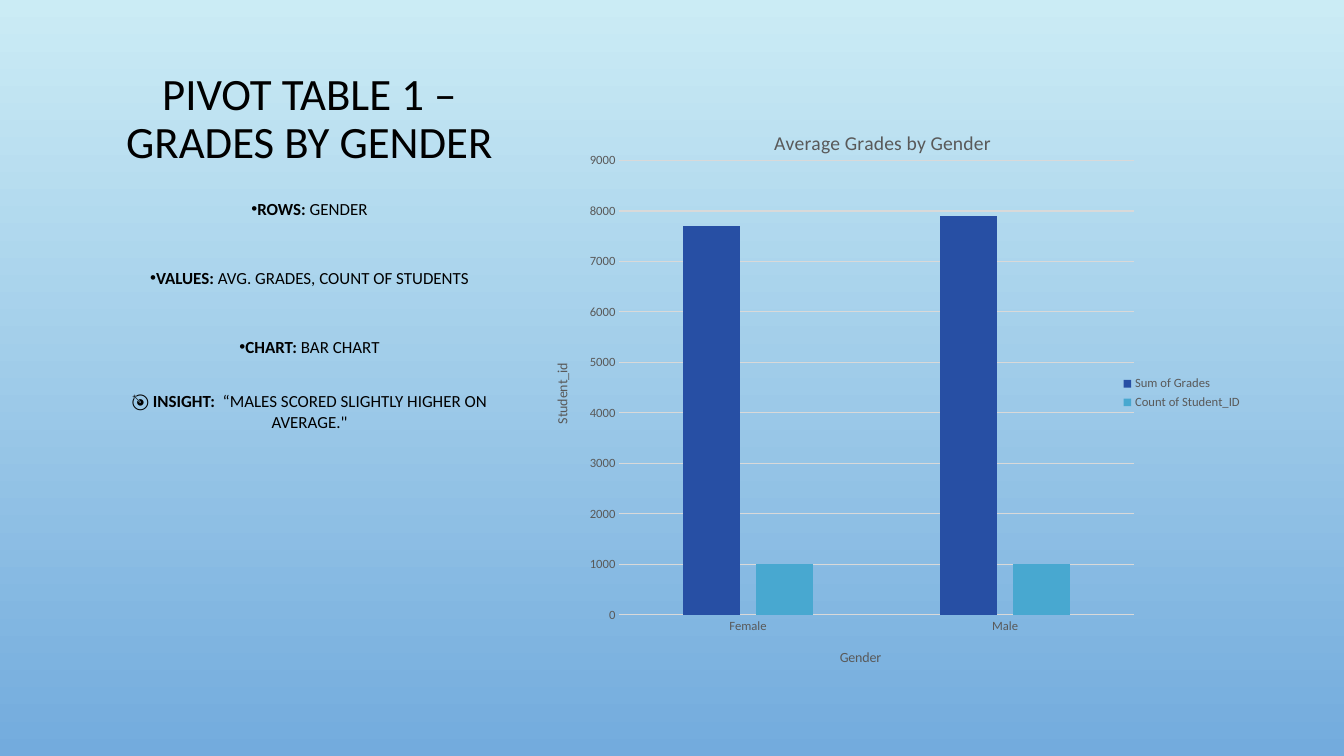
from lxml import etree
from pptx import Presentation
from pptx import util as u
from pptx.chart.data import CategoryChartData
from pptx.dml.color import RGBColor
from pptx.enum import chart as ch, text
from pptx.oxml import parse_xml
from pptx.oxml.ns import nsdecls, qn

# Content
TITLE = "PIVOT TABLE 1 – GRADES BY GENDER"
# bulleted, space before in points, runs of (words, bold)
NOTES = [
    (True, 0, [("ROWS:", True), (" GENDER", False)]),
    (True, 34.7, [("VALUES:", True), (" AVG. GRADES, COUNT OF STUDENTS", False)]),
    (True, 34.7, [("CHART:", True), (" BAR CHART", False)]),
    (False, 24.6, [("🎯 ", False), ("INSIGHT:", True),
                   ("  “MALES SCORED SLIGHTLY HIGHER ON AVERAGE.\"", False)]),
]
CHART_TITLE, X_TITLE, Y_TITLE = "Average Grades by Gender", "Gender", "Student_id"
GENDERS = ["Female", "Male"]
BLACK, GREY, RULE = RGBColor(0, 0, 0), RGBColor(0x59, 0x59, 0x59), RGBColor(0xD9, 0xD9, 0xD9)
SKY_TOP, SKY_BOTTOM = RGBColor(0xCB, 0xEC, 0xF5), RGBColor(0x73, 0xAB, 0xDD)
SERIES = [
    ("Sum of Grades", (7700, 7900), RGBColor(0x27, 0x4F, 0xA4)),
    ("Count of Student_ID", (1000, 1000), RGBColor(0x48, 0xA8, 0xD0)),
]
FONT = "Calibri"

# Layout in inches: one text column, one chart
COL_X, COL_W = 0.92, 4.3
TITLE_Y, TITLE_H = 0.5, 1.22
NOTES_Y, NOTES_H = 1.92, 2.47
CHART_BOX = (5.07, 1.08, 7.35, 5.64)


def style(font, size, color, bold=False):
    font.name, font.size, font.bold = FONT, u.Pt(size), bold
    font.color.rgb = color


def text_column(s, y, h, anchor):
    tf = s.shapes.add_textbox(*map(u.Inches, (COL_X, y, COL_W, h))).text_frame
    tf.word_wrap, tf.vertical_anchor = True, anchor
    return tf


def layout_xml(x, y, w=None, h=None):
    """Manual chart layout, as shares of the chart's size."""
    parts = [] if w is None else [("layoutTarget", "inner")]
    parts += [("xMode", "edge"), ("yMode", "edge"), ("x", x), ("y", y)]
    parts += [] if w is None else [("w", w), ("h", h)]
    inner = "".join(f'<c:{tag} val="{val}"/>' for tag, val in parts)
    return parse_xml(f'<c:layout {nsdecls("c")}><c:manualLayout>{inner}'
                     '</c:manualLayout></c:layout>')


def chart_label(owner, words, size, x, y):
    """Write a chart or axis title and place its top left corner."""
    title = owner.chart_title if hasattr(owner, "chart_title") else owner.axis_title
    r = title.text_frame.paragraphs[0].add_run()
    r.text = words
    style(r.font, size, GREY)
    el = title._element
    for old in el.findall(qn("c:layout")):
        el.remove(old)
    el.find(qn("c:tx")).addnext(layout_xml(x, y))


def main():
    prs = Presentation()
    prs.slide_width, prs.slide_height = u.Inches(13.33), u.Inches(7.5)
    s = prs.slides.add_slide(prs.slide_layouts[6])

    # Background
    fill = s.background.fill
    fill.gradient()
    fill.gradient_angle = 270
    for stop, color in zip(fill.gradient_stops, (SKY_TOP, SKY_BOTTOM)):
        stop.color.rgb = color

    # Title
    p = text_column(s, TITLE_Y, TITLE_H, text.MSO_ANCHOR.BOTTOM).paragraphs[0]
    p.alignment, p.line_spacing = text.PP_ALIGN.CENTER, 0.9
    r = p.add_run()
    r.text = TITLE
    style(r.font, 32, BLACK)

    # Notes
    tf = text_column(s, NOTES_Y, NOTES_H, text.MSO_ANCHOR.TOP)
    for i, (bulleted, gap, runs) in enumerate(NOTES):
        p = tf.add_paragraph() if i else tf.paragraphs[0]
        p.alignment, p.space_before = text.PP_ALIGN.CENTER, u.Pt(gap)
        if bulleted:
            pPr = p._p.get_or_add_pPr()
            pPr.set("marL", "0")
            pPr.set("indent", "0")
            etree.SubElement(pPr, qn("a:buFont")).set("typeface", "Arial")
            etree.SubElement(pPr, qn("a:buChar")).set("char", "•")
        for words, bold in runs:
            r = p.add_run()
            r.text = words
            style(r.font, 12.1, BLACK, bold)

    # Chart
    data = CategoryChartData()
    data.categories = GENDERS
    for name, values, _ in SERIES:
        data.add_series(name, values)
    chart = s.shapes.add_chart(ch.XL_CHART_TYPE.COLUMN_CLUSTERED,
                               *map(u.Inches, CHART_BOX), data).chart
    style(chart.font, 10, BLACK)
    plot = chart.plots[0]
    plot.vary_by_categories, plot.gap_width, plot.overlap = False, 219, -27
    for ser, (_, _, color) in zip(plot.series, SERIES):
        ser.format.fill.solid()
        ser.format.fill.fore_color.rgb = color
    area = chart._chartSpace.chart.plotArea
    for old in area.findall(qn("c:layout")):
        area.remove(old)
    area.insert(0, layout_xml(0.146, 0.091, 0.694, 0.799))

    # Axes
    cat, val = chart.category_axis, chart.value_axis
    for axis in (cat, val):
        axis.major_tick_mark = axis.minor_tick_mark = ch.XL_TICK_MARK.NONE
        style(axis.tick_labels.font, 9, GREY)
    val.minimum_scale, val.maximum_scale, val.major_unit = 0, 9000, 1000
    val.format.line.fill.background()
    val.has_major_gridlines = True
    for line in (cat.format.line, val.major_gridlines.format.line):
        line.color.rgb, line.width = RULE, u.Pt(0.75)

    # Chart titles and legend
    chart.has_title = True
    chart_label(chart, CHART_TITLE, 14, 0.35, 0.03)
    chart_label(cat, X_TITLE, 10, 0.44, 0.945)
    chart_label(val, Y_TITLE, 10, 0.053, 0.443)
    chart.has_legend = True
    chart.legend.position = ch.XL_LEGEND_POSITION.RIGHT
    chart.legend.include_in_layout = False
    style(chart.legend.font, 9, GREY)

    prs.save("out.pptx")


if __name__ == "__main__":
    main()
